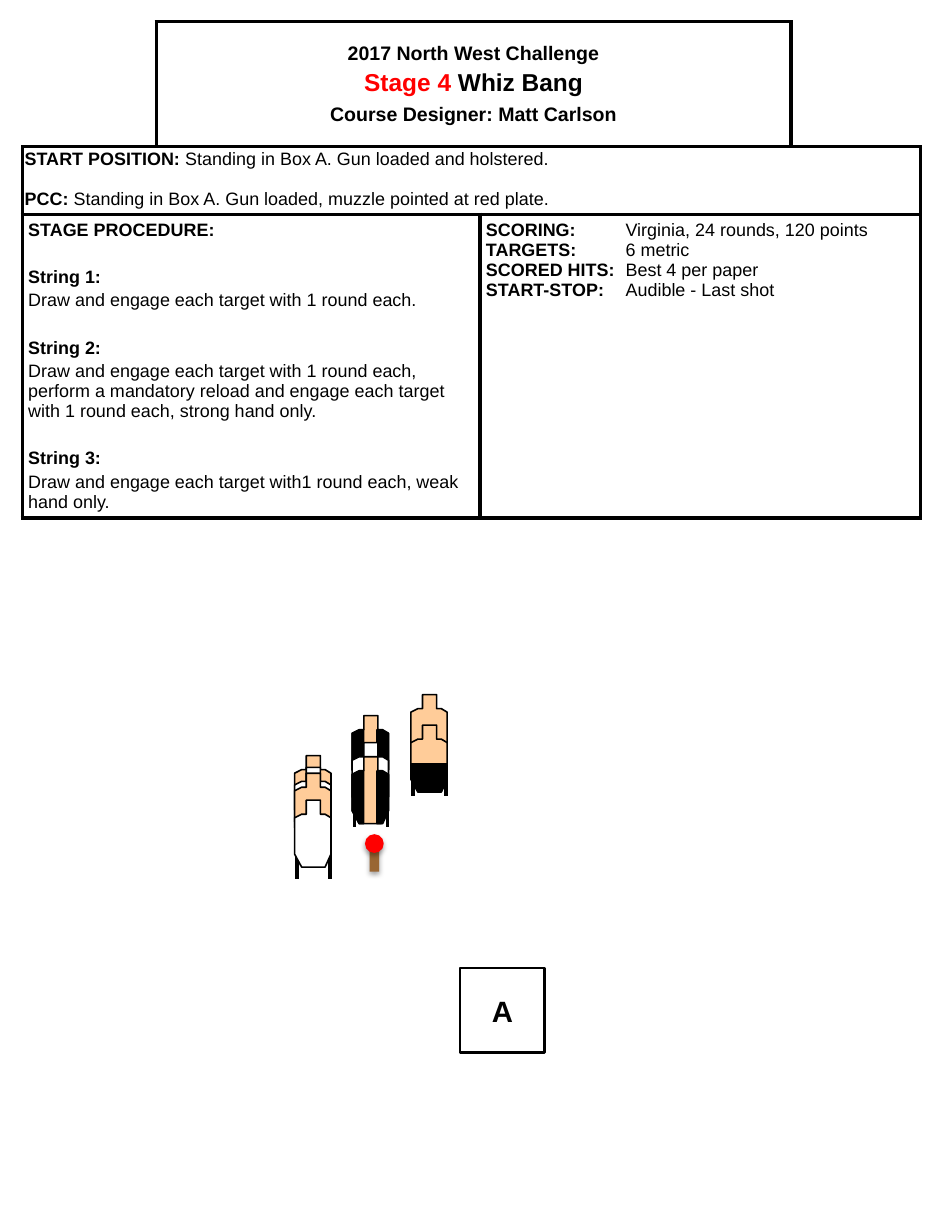
from lxml.etree import SubElement
from pptx import Presentation
from pptx.dml.color import RGBColor
from pptx.enum.shapes import MSO_CONNECTOR, MSO_SHAPE
from pptx.enum.text import MSO_ANCHOR, PP_ALIGN
from pptx.oxml.ns import qn
from pptx.util import Inches, Pt

COLORS = {"ink": "000000", "paper": "FFFFFF", "red": "FF0000",
          "tan": "FFCC99", "wood": "996633"}

# Outlines in inches, measured from the top left of a target
SILHOUETTE = [(0.1, 0), (0.22, 0), (0.22, 0.12), (0.26, 0.12), (0.31, 0.15), (0.31, 0.46),
              (0.26, 0.57), (0.06, 0.57), (0, 0.46), (0, 0.15), (0.06, 0.12), (0.1, 0.12)]
LEFT_COVER = [(0.1, 0.12), (0.1, 0.57), (0.06, 0.57), (0, 0.46), (0, 0.15), (0.06, 0.12)]
RIGHT_COVER = [(round(0.31 - x, 2), y) for x, y in LEFT_COVER]
LOWER_COVER = [(0, 0.33), (0.31, 0.33), (0.31, 0.46), (0.26, 0.57), (0.06, 0.57), (0, 0.46)]
SIDE_COVERS = [LEFT_COVER, RIGHT_COVER]


def color(name):
    return RGBColor.from_string(COLORS[name])


class StageSheet:
    font = "Arial"
    border = 2.25

    def __init__(self, slide):
        self.slide = slide

    def format_run(self, run, size, bold=False, color_name="ink"):
        run.font.name = self.font
        run.font.size = Pt(size)
        run.font.bold = bold
        run.font.color.rgb = color(color_name)

    def paragraph(self, frame, runs, before=0, align=PP_ALIGN.LEFT, spacing=None, tab=None):
        """Fill the next paragraph; each run is (text, size, bold, color name)."""
        paragraph = frame.paragraphs[0]
        if paragraph.runs:
            paragraph = frame.add_paragraph()
        paragraph.alignment = align
        paragraph.space_before = Pt(before)
        if spacing:
            paragraph.line_spacing = spacing
        if tab:
            tabs = SubElement(paragraph._p.get_or_add_pPr(), qn("a:tabLst"))
            SubElement(tabs, qn("a:tab"), pos=str(Inches(tab)), algn="l")
        for text, *style in runs:
            run = paragraph.add_run()
            run.text = text
            self.format_run(run, *style)

    def table(self, left, top, widths, heights):
        frame = self.slide.shapes.add_table(len(heights), len(widths), Inches(left), Inches(top),
                                            Inches(sum(widths)), Inches(sum(heights)))
        table = frame.table
        table.first_row = table.horz_banding = False
        for column, width in zip(table.columns, widths):
            column.width = Inches(width)
        for row, height in zip(table.rows, heights):
            row.height = Inches(height)
        return table

    def cell(self, cell, sides="LRTB", margins=(0.05, 0.05), anchor=MSO_ANCHOR.TOP):
        """Draw borders on the given sides, fill the cell and return its text frame."""
        properties = cell._tc.get_or_add_tcPr()
        for side in sides:
            line = SubElement(properties, qn(f"a:ln{side}"), w=str(Pt(self.border)))
            fill = SubElement(line, qn("a:solidFill"))
            SubElement(fill, qn("a:srgbClr"), val=COLORS["ink"])
        cell.fill.solid()
        cell.fill.fore_color.rgb = color("paper")
        cell.margin_left = cell.margin_right = Inches(margins[0])
        cell.margin_top = cell.margin_bottom = Inches(margins[1])
        cell.vertical_anchor = anchor
        return cell.text_frame

    def post(self, group, x, top, height=0.44):
        line = group.shapes.add_connector(MSO_CONNECTOR.STRAIGHT, Inches(x), Inches(top),
                                          Inches(x), Inches(top + height))
        line.line.color.rgb = color("ink")
        line.line.width = Pt(self.border)
        SubElement(line._element.spPr, qn("a:effectLst"))

    def outline(self, group, left, top, points, fill, width):
        corners = [(Inches(left + x), Inches(top + y)) for x, y in points]
        builder = group.shapes.build_freeform(*corners[0], scale=1.0)
        builder.add_line_segments(corners[1:], close=True)
        shape = builder.convert_to_shape()
        shape.shadow.inherit = False
        shape.fill.solid()
        shape.fill.fore_color.rgb = color(fill)
        shape.line.color.rgb = color("ink")
        shape.line.width = Pt(width)

    def target_stand(self, left, post_top, targets):
        """Two posts, then targets as (top, fill, covers) from back to front."""
        group = self.slide.shapes.add_group_shape()
        for offset in (0.02, 0.3):
            self.post(group, left + offset, post_top)
        for top, fill, covers in targets:
            self.outline(group, left, top, SILHOUETTE, fill, 1)
            for cover in covers:
                self.outline(group, left, top, cover, "ink", 0)

    def plate_part(self, group, kind, left, top, width, height, fill):
        shape = group.shapes.add_shape(kind, Inches(left), Inches(top),
                                       Inches(width), Inches(height))
        shape.fill.solid()
        shape.fill.fore_color.rgb = color(fill)
        shape.line.fill.background()
        effects = SubElement(shape._element.spPr, qn("a:effectLst"))
        shadow = SubElement(effects, qn("a:outerShdw"), blurRad=str(Pt(3.1)),
                            dist=str(Pt(1.8)), dir="5400000", rotWithShape="0")
        shade = SubElement(shadow, qn("a:srgbClr"), val=COLORS["ink"])
        SubElement(shade, qn("a:alpha"), val="35000")

    def shooting_box(self, label, left, top, side):
        shape = self.slide.shapes.add_shape(MSO_SHAPE.RECTANGLE, Inches(left), Inches(top),
                                            Inches(side), Inches(side))
        shape.shadow.inherit = False
        shape.fill.background()
        shape.line.color.rgb = color("ink")
        shape.line.width = Pt(1.5)
        shape.text_frame.vertical_anchor = MSO_ANCHOR.MIDDLE
        self.paragraph(shape.text_frame, [(label, 18, True)], align=PP_ALIGN.CENTER)


def main():
    presentation = Presentation()
    presentation.slide_width = Inches(8)
    presentation.slide_height = Inches(10.5)
    sheet = StageSheet(presentation.slides.add_slide(presentation.slide_layouts[6]))

    # Stage description table
    table = sheet.table(0.19, 0.18, [1.14, 2.76, 2.65, 1.1], [1.07, 0.57, 2.59])
    for first, last in [((0, 1), (0, 2)), ((1, 0), (1, 3)), ((2, 0), (2, 1)), ((2, 2), (2, 3))]:
        table.cell(*first).merge(table.cell(*last))
    sheet.cell(table.cell(0, 0), "RB")
    sheet.cell(table.cell(0, 3), "LB")

    # Heading
    heading = sheet.cell(table.cell(0, 1), anchor=MSO_ANCHOR.MIDDLE)
    for before, runs in [
        (0, [("2017 North West Challenge", 12, True)]),
        (3, [("Stage 4 ", 15, True, "red"), ("Whiz Bang", 15, True)]),
        (4.2, [("Course Designer: Matt Carlson", 12, True)]),
    ]:
        sheet.paragraph(heading, runs, before, PP_ALIGN.CENTER)

    # Start position
    start = sheet.cell(table.cell(1, 0), margins=(0.02, 0.04))
    for before, label, text in [
        (0, "START POSITION:", " Standing in Box A. Gun loaded and holstered."),
        (13.6, "PCC:", " Standing in Box A. Gun loaded, muzzle pointed at red plate."),
    ]:
        sheet.paragraph(start, [(label, 11, True), (text, 11)], before, spacing=0.9)

    # Procedure
    procedure = sheet.cell(table.cell(2, 0))
    sheet.paragraph(procedure, [("STAGE PROCEDURE:", 11, True)])
    for title, text in [
        ("String 1:", "Draw and engage each target with 1 round each."),
        ("String 2:", "Draw and engage each target with 1 round each, perform a mandatory "
                      "reload and engage each target with 1 round each, strong hand only."),
        ("String 3:", "Draw and engage each target with1 round each, weak hand only."),
    ]:
        sheet.paragraph(procedure, [(title, 11, True)], before=16.7)
        sheet.paragraph(procedure, [(text, 11)], before=2.2)

    # Scoring
    scoring = sheet.cell(table.cell(2, 2))
    for label, value in [("SCORING:", "Virginia, 24 rounds, 120 points"),
                         ("TARGETS:", "6 metric"),
                         ("SCORED HITS:", "Best 4 per paper"),
                         ("START-STOP:", "Audible - Last shot")]:
        sheet.paragraph(scoring, [(label, 11, True), ("\t" + value, 11)], tab=1.19)

    # Target stands
    sheet.target_stand(2.51, 7.05, [(6.44, "tan", []), (6.54, "paper", []),
                                    (6.59, "tan", []), (6.82, "paper", [])])
    sheet.target_stand(3, 6.61, [(6.1, "tan", SIDE_COVERS), (6.33, "paper", []),
                                 (6.45, "tan", SIDE_COVERS)])
    sheet.target_stand(3.5, 6.34, [(5.92, "tan", []), (6.18, "tan", [LOWER_COVER])])

    # Red plate and shooting box
    plate = sheet.slide.shapes.add_group_shape()
    sheet.plate_part(plate, MSO_SHAPE.RECTANGLE, 3.15, 7.21, 0.08, 0.22, "wood")
    sheet.plate_part(plate, MSO_SHAPE.OVAL, 3.11, 7.11, 0.16, 0.16, "red")
    sheet.shooting_box("A", 3.92, 8.25, 0.72)

    presentation.save("out.pptx")


if __name__ == "__main__":
    main()
